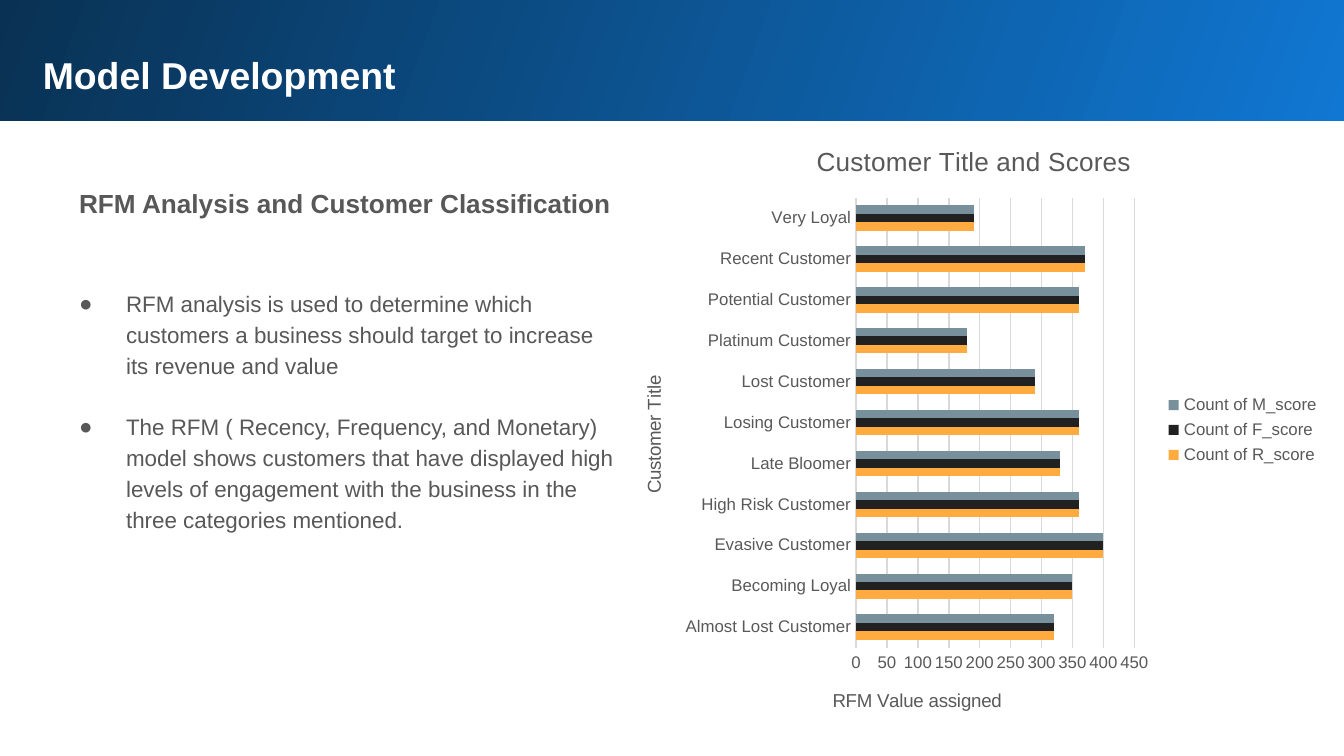
import pptx
import pptx.chart.data
import pptx.dml.color
import pptx.enum.chart
import pptx.enum.shapes
import pptx.enum.text
import pptx.oxml
import pptx.oxml.ns
import pptx.util
from pptx.util import Inches

COLOURS = {
    "white": "FFFFFF", "bright": "1077D2", "navy": "093153",
    "body": "585858", "label": "595959", "grid": "D9D9D9",
    "recency": "FFAB40", "frequency": "212121", "monetary": "78909C",
}
SCORES = {
    "Almost Lost Customer": 320, "Becoming Loyal": 350,
    "Evasive Customer": 400, "High Risk Customer": 360,
    "Late Bloomer": 330, "Losing Customer": 360, "Lost Customer": 290,
    "Platinum Customer": 180, "Potential Customer": 360,
    "Recent Customer": 370, "Very Loyal": 190,
}
SERIES = {"Count of R_score": "recency", "Count of F_score": "frequency",
          "Count of M_score": "monetary"}
BULLETS = [
    ("RFM analysis is used to determine which customers a business should "
     "target to increase its revenue and value", 36),
    ("The RFM ( Recency, Frequency, and Monetary) model shows customers that "
     "have displayed high levels of engagement with the business in the three "
     "categories mentioned.", 16.5),
]
CHART_WIDTH, CHART_HEIGHT = 5.35, 4.6


class SlideBuilder:
    face = "Arial"

    def __init__(self, page):
        self.page = page

    def colour(self, name):
        return pptx.dml.color.RGBColor.from_string(COLOURS[name])

    def style(self, font, size, colour, bold=False):
        font.name = self.face
        font.size = pptx.util.Pt(size)
        font.bold = bold
        font.color.rgb = self.colour(colour)

    def span(self, para, text, size, colour, bold=False):
        span = para.add_run()
        span.text = text
        self.style(span.font, size, colour, bold)

    def banner(self, left, top, width, height):
        box = self.page.shapes.add_shape(
            pptx.enum.shapes.MSO_SHAPE.RECTANGLE,
            Inches(left), Inches(top), Inches(width), Inches(height))
        box.shadow.inherit = False
        box.line.fill.background()
        box.fill.gradient()
        box.fill.gradient_angle = 160
        for stop, name in zip(box.fill.gradient_stops, ("bright", "navy")):
            stop.color.rgb = self.colour(name)

    def text_box(self, left, top, width, height):
        box = self.page.shapes.add_textbox(
            Inches(left), Inches(top), Inches(width), Inches(height))
        frame = box.text_frame
        frame.word_wrap = True
        frame.margin_left = frame.margin_right = Inches(0.1)
        frame.margin_top = frame.margin_bottom = Inches(0.1)
        return frame

    def indent(self, para, left, first):
        properties = para._p.get_or_add_pPr()
        properties.set("marL", str(Inches(left)))
        properties.set("indent", str(Inches(first)))
        para.line_spacing = 1.15
        return properties

    def bullet(self, frame, text, space):
        para = frame.add_paragraph()
        properties = self.indent(para, 0.5, -0.35)
        para.space_before = pptx.util.Pt(space)
        namespace = pptx.oxml.ns.nsdecls("a")
        for markup in (
            f'<a:buClr {namespace}><a:srgbClr val="{COLOURS["body"]}"/></a:buClr>',
            f'<a:buSzPts {namespace} val="1200"/>',
            f'<a:buFont {namespace} typeface="{self.face}"/>',
            f'<a:buChar {namespace} char="●"/>',
        ):
            properties.append(pptx.oxml.parse_xml(markup))
        self.span(para, text, 12, "body")

    def layout(self, parent, **lengths):
        for old in parent.findall(pptx.oxml.ns.qn("c:layout")):
            parent.remove(old)
        target = '<c:layoutTarget val="inner"/>' if "w" in lengths else ""
        modes = "".join(f'<c:{key}Mode val="edge"/>' for key in "xy")
        sizes = "".join(
            f'<c:{key} val="{value / (CHART_WIDTH if key in "xw" else CHART_HEIGHT)}"/>'
            for key, value in lengths.items())
        return pptx.oxml.parse_xml(
            f'<c:layout {pptx.oxml.ns.nsdecls("c")}><c:manualLayout>'
            f"{target}{modes}{sizes}</c:manualLayout></c:layout>")

    def chart_title(self, owner, text, size, x, y):
        title = owner.chart_title if hasattr(owner, "chart_title") else owner.axis_title
        self.span(title.text_frame.paragraphs[0], text, size, "label")
        element = title._element
        layout = self.layout(element, x=x, y=y)
        element.find(pptx.oxml.ns.qn("c:tx")).addnext(layout)

    def bar_chart(self, left, top):
        data = pptx.chart.data.CategoryChartData()
        data.categories = list(SCORES)
        for name in SERIES:
            data.add_series(name, list(SCORES.values()))
        chart = self.page.shapes.add_chart(
            pptx.enum.chart.XL_CHART_TYPE.BAR_CLUSTERED, Inches(left),
            Inches(top), Inches(CHART_WIDTH), Inches(CHART_HEIGHT), data).chart
        self.style(chart.font, 9, "label")
        plot = chart.plots[0]
        plot.gap_width = 182
        plot.overlap = 0
        plot.vary_by_categories = False
        for series, name in zip(plot.series, SERIES.values()):
            series.format.fill.solid()
            series.format.fill.fore_color.rgb = self.colour(name)
            series.invert_if_negative = False
        chart.has_legend = True
        chart.legend.position = pptx.enum.chart.XL_LEGEND_POSITION.RIGHT
        chart.legend.include_in_layout = False
        self.style(chart.legend.font, 9, "label")
        for axis in (chart.category_axis, chart.value_axis):
            axis.major_tick_mark = pptx.enum.chart.XL_TICK_MARK.NONE
            axis.minor_tick_mark = pptx.enum.chart.XL_TICK_MARK.NONE
            self.style(axis.tick_labels.font, 9, "label")
        values = chart.value_axis
        values.minimum_scale, values.maximum_scale, values.major_unit = 0, 450, 50
        values.has_major_gridlines = True
        values.format.line.fill.background()
        for line in (chart.category_axis.format.line,
                     values.major_gridlines.format.line):
            line.color.rgb = self.colour("grid")
            line.width = pptx.util.Pt(0.75)
        self.chart_title(chart, "Customer Title and Scores", 14, 1.47, 0.14)
        self.chart_title(chart.category_axis, "Customer Title", 10, 0.18, 1.87)
        self.chart_title(values, "RFM Value assigned", 10, 1.6, 4.2)
        area = chart._chartSpace.chart.plotArea
        area.insert(0, self.layout(area, x=1.8, y=0.57, w=2.07, h=3.35))


def main():
    deck = pptx.Presentation()
    deck.slide_width, deck.slide_height = Inches(10), Inches(10 * 9 / 16)
    builder = SlideBuilder(deck.slides.add_slide(deck.slide_layouts[6]))
    builder.banner(-0.02, -0.02, 10.05, 0.92)
    heading = builder.text_box(0.22, 0.29, 9.37, 0.51)
    builder.span(heading.paragraphs[0], "Model Development", 20, "white", True)
    body = builder.text_box(0.34, 1.26, 4.37, 3.74)
    builder.indent(body.paragraphs[0], 0.15, 0)
    builder.span(body.paragraphs[0], "RFM Analysis and Customer Classification",
                 14, "body", True)
    for text, space in BULLETS:
        builder.bullet(body, text, space)
    builder.bar_chart(4.57, 0.9)
    deck.save("out.pptx")


if __name__ == "__main__":
    main()
